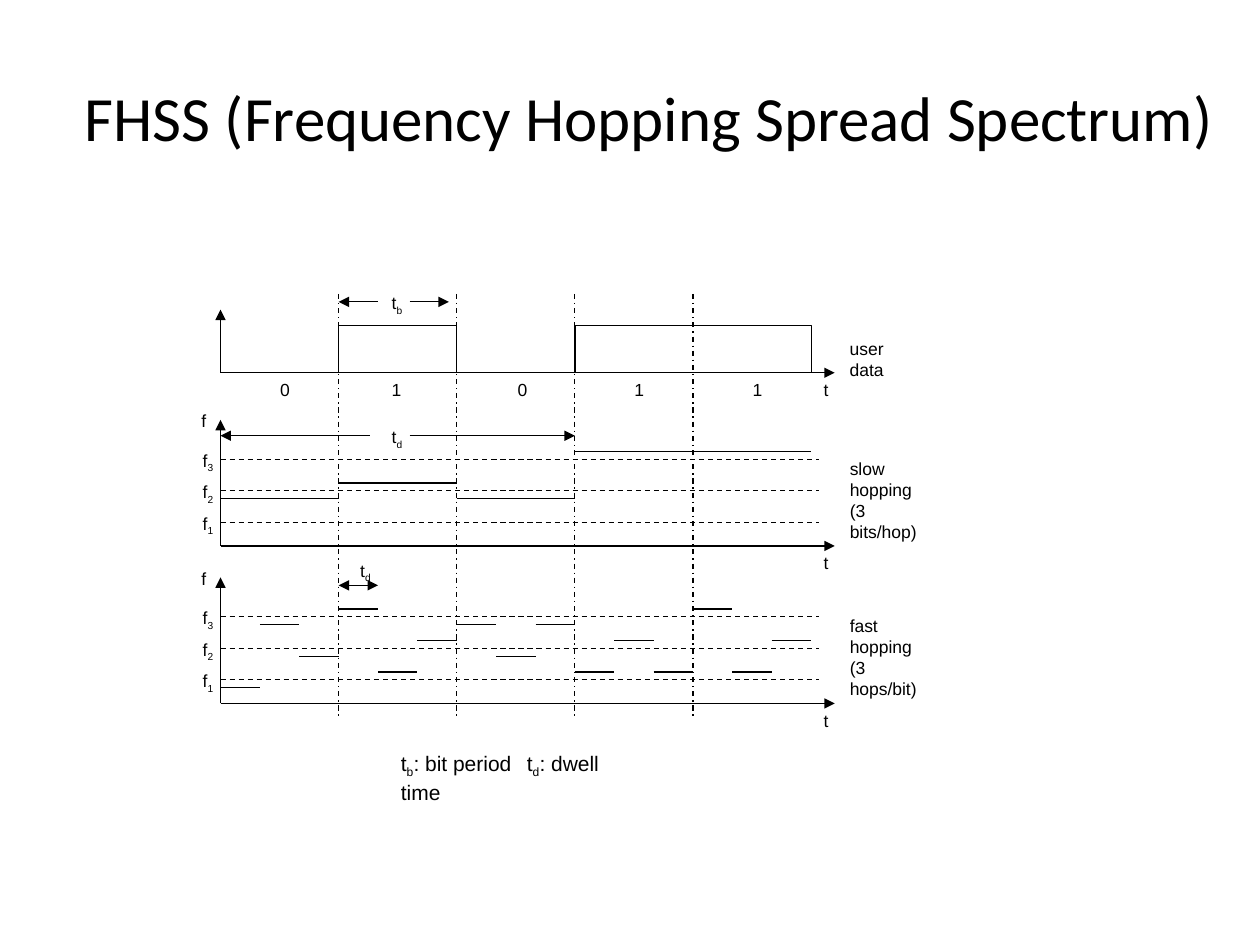
import pptx
import pptx.dml.color
import pptx.enum.dml
import pptx.enum.shapes
import pptx.enum.text
import pptx.oxml
import pptx.oxml.ns
import pptx.util

PX = 9525
THEME = {
    "ink": pptx.dml.color.RGBColor(0, 0, 0),
    "line": pptx.util.Pt(0.75),
    "title": {"name": "Calibri", "size": pptx.util.Pt(36)},
    "label": {"name": "Arial", "size": pptx.util.Pt(10)},
    "legend": {"name": "Arial", "size": pptx.util.Pt(12)},
}
DASH = pptx.enum.dml.MSO_LINE.DASH
DASH_DOT = pptx.enum.dml.MSO_LINE.DASH_DOT
LEFT, BIT, SLOT, LEVEL = 168, 90, 30, 12
AXIS_END, GUIDE_END, DATA_END = 636, 624, LEFT + 5 * BIT
DATA_AXIS, SLOW_AXIS, FAST_AXIS = 284, 416, 536

deck = pptx.Presentation()
deck.slide_width = 960 * PX
deck.slide_height = 720 * PX
page = deck.slides.add_slide(deck.slide_layouts[5])


def draw_line(x1, y1, x2, y2, dash=None, arrows=()):
    line = page.shapes.add_connector(
        pptx.enum.shapes.MSO_CONNECTOR.STRAIGHT, x1 * PX, y1 * PX, x2 * PX, y2 * PX
    )
    line.line.color.rgb = THEME["ink"]
    line.line.width = THEME["line"]
    if dash:
        line.line.dash_style = dash
    outline = line.line._get_or_add_ln()
    for end in arrows:
        arrow = pptx.oxml.parse_xml(
            f'<a:{end} {pptx.oxml.ns.nsdecls("a")} type="triangle"/>'
        )
        outline.append(arrow)
    effects = pptx.oxml.parse_xml(f'<a:effectLst {pptx.oxml.ns.nsdecls("a")}/>')
    line._element.spPr.append(effects)


def write(text, x, y, width, height, style="label"):
    box = page.shapes.add_textbox(x * PX, y * PX, width * PX, height * PX)
    frame = box.text_frame
    frame.word_wrap = False
    frame.auto_size = pptx.enum.text.MSO_AUTO_SIZE.SHAPE_TO_FIT_TEXT
    for row, content in enumerate(text.split("\n")):
        para = frame.add_paragraph() if row else frame.paragraphs[0]
        if "\t" in content:
            tabs = pptx.oxml.parse_xml(
                f'<a:tabLst {pptx.oxml.ns.nsdecls("a")}>'
                f'<a:tab pos="{96 * PX}" algn="l"/></a:tabLst>'
            )
            para._p.get_or_add_pPr().append(tabs)
        for index, part in enumerate(content.split("|")):
            if not part:
                continue
            span = para.add_run()
            span.text = part
            for key, value in THEME[style].items():
                setattr(span.font, key, value)
            span.font.color.rgb = THEME["ink"]
            if index % 2:
                span._r.get_or_add_rPr().set("baseline", "-25000")


title = page.shapes.title
bounds = {"left": 48, "top": 29, "width": 893, "height": 120}
for key, value in bounds.items():
    setattr(title, key, value * PX)
title.text_frame.text = "FHSS (Frequency Hopping Spread Spectrum)"
title.text_frame.vertical_anchor = pptx.enum.text.MSO_ANCHOR.MIDDLE
title_para = title.text_frame.paragraphs[0]
title_para.alignment = pptx.enum.text.PP_ALIGN.CENTER
title_span = title_para.runs[0]
for key, value in THEME["title"].items():
    setattr(title_span.font, key, value)
title_span.font.color.rgb = THEME["ink"]

for axis, height in ((DATA_AXIS, 48), (SLOW_AXIS, 96), (FAST_AXIS, 96)):
    draw_line(LEFT, axis, LEFT, axis - height, arrows=["tailEnd"])
    draw_line(LEFT, axis, AXIS_END, axis, arrows=["tailEnd"])
    write("t", 618, axis, 23, 26)

for first_bit, bits in ((1, 1), (3, 2)):
    start = LEFT + first_bit * BIT
    end = start + bits * BIT
    builder = page.shapes.build_freeform(start, DATA_AXIS, scale=PX)
    builder.add_line_segments(
        [(start, 248), (end, 248), (end, DATA_AXIS)], close=False
    )
    pulse = builder.convert_to_shape()
    pulse.shadow.inherit = False
    pulse.fill.background()
    pulse.line.color.rgb = THEME["ink"]
    pulse.line.width = THEME["line"]

for bit, x in zip("01011", (204, 289, 385, 474, 564)):
    write(bit, x, DATA_AXIS, 26, 26)

for bit in range(1, 5):
    x = LEFT + bit * BIT
    draw_line(x, 224, x, 548, dash=DASH_DOT)

hops = (
    (SLOW_AXIS, BIT, (3, 4, 3, 6, 6)),
    (FAST_AXIS, SLOT, (1, 5, 3, 6, 2, 4, 5, 3, 5, 2, 4, 2, 6, 2, 4)),
)
for axis, step, levels in hops:
    write("f", 144, axis - 108, 23, 26)
    for band in (1, 2, 3):
        y = axis + 6 - 24 * band
        draw_line(LEFT, y, GUIDE_END, y, dash=DASH)
        write(f"f|{band}|", 145, y - 12, 27, 28)
    for index, level in enumerate(levels):
        x = LEFT + index * step
        y = axis - level * LEVEL
        draw_line(x, y, x + step, y)

spans = (
    (258, 288, 230, ["headEnd"]),
    (312, 342, 230, ["tailEnd"]),
    (LEFT, 282, 332, ["headEnd"]),
    (312, 438, 332, ["tailEnd"]),
    (258, 288, 446, ["headEnd", "tailEnd"]),
)
for start, end, y, arrows in spans:
    draw_line(start, y, end, y, arrows=arrows)

for text, x, y in (("t|b|", 289, 218), ("t|d|", 289, 320), ("t|d|", 265, 422)):
    write(text, x, y, 27, 28)

captions = (
    ("user data", 253, 74, 26),
    ("slow\nhopping\n(3 bits/hop)", 344, 85, 58),
    ("fast\nhopping\n(3 hops/bit)", 464, 85, 58),
)
for text, y, width, height in captions:
    write(text, 638, y, width, height)

write("t|b|: bit period\tt|d|: dwell time", 296, 567, 204, 32, "legend")

deck.save("out.pptx")
